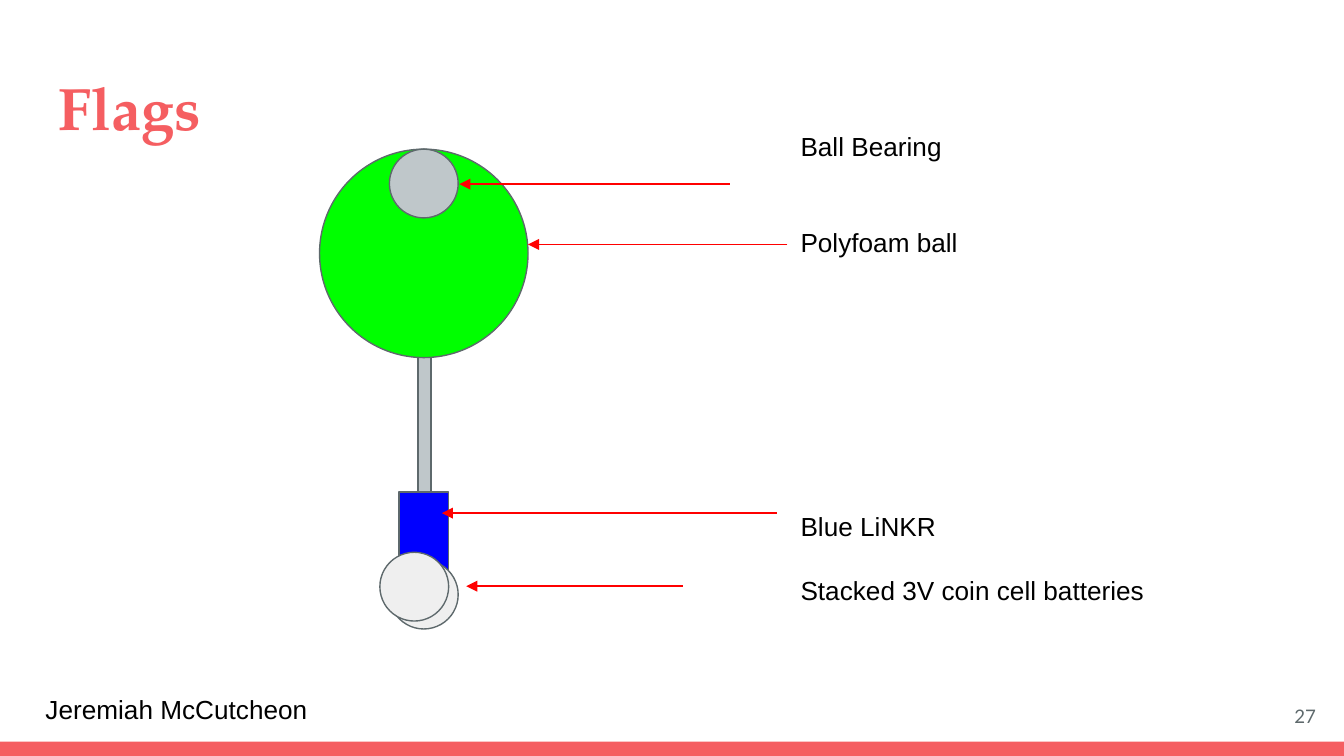
from lxml import etree
from pptx import Presentation
from pptx.dml.color import RGBColor
from pptx.enum.shapes import MSO_CONNECTOR, MSO_SHAPE
from pptx.enum.text import MSO_ANCHOR, PP_ALIGN
from pptx.oxml.ns import qn
from pptx.util import Cm, Pt

RECT = MSO_SHAPE.RECTANGLE
OVAL = MSO_SHAPE.OVAL
LINE = MSO_CONNECTOR.STRAIGHT
TOP, MID = MSO_ANCHOR.TOP, MSO_ANCHOR.MIDDLE
LEFT, RIGHT = PP_ALIGN.LEFT, PP_ALIGN.RIGHT

CORAL, SLATE, STEEL = "F55E61", "5E696C", "BFC7CA"
GREEN, BLUE, PALE, RED, BLACK = "00FF00", "0000FF", "EFEFEF", "FF0000", "000000"

HEAD = {"name": "TeX Gyre Pagella", "size": Pt(32), "bold": True}
BODY = {"name": "Arial", "size": Pt(14)}
PAGE = {"name": "Lato", "size": Pt(10)}
INSET = {f"margin_{side}": Cm(0.25) for side in ("left", "right", "top", "bottom")}


def color(target, value):
    target.rgb = RGBColor.from_string(value)


def apply(target, values):
    for key, value in values.items():
        setattr(target, key, value)


def add_part(slide, kind, box, fill, edge=None):
    part = slide.shapes.add_shape(kind, *map(Cm, box))
    part.shadow.inherit = False
    part.fill.solid()
    color(part.fill.fore_color, fill)
    if edge:
        color(part.line.color, edge)
        part.line.width = Pt(0.75)
    else:
        part.line.fill.background()


def add_arrow(slide, start, tip, y):
    arrow = slide.shapes.add_connector(LINE, Cm(start), Cm(y), Cm(tip), Cm(y))
    color(arrow.line.color, RED)
    arrow.line.width = Pt(0.75)
    etree.SubElement(arrow.line._get_or_add_ln(), qn("a:tailEnd"), type="triangle")
    etree.SubElement(arrow._element.spPr, qn("a:effectLst"))


def add_text(slide, box, rows, font, tint, align=LEFT, anchor=TOP):
    frame = slide.shapes.add_textbox(*map(Cm, box)).text_frame
    apply(frame, {"word_wrap": True, "vertical_anchor": anchor, **INSET})
    for index, (text, gap) in enumerate(rows):
        para = frame.add_paragraph() if index else frame.paragraphs[0]
        apply(para, {"alignment": align, "space_before": Pt(gap)})
        run = para.add_run()
        run.text = text
        apply(run.font, font)
        color(run.font.color, tint)


def add_flag(slide, box):
    left, top, ball, _ = box
    parts = [
        (RECT, 1.86, 3.56, 0.25, 5.13, STEEL),
        (OVAL, 0, 0, ball, ball, GREEN),
        (OVAL, 1.32, 0, 1.3, 1.3, STEEL),
        (RECT, 1.5, 6.48, 0.94, 1.57, BLUE),
        (OVAL, 1.32, 7.77, 1.3, 1.3, PALE),
        (OVAL, 1.14, 7.62, 1.3, 1.3, PALE),
    ]
    for kind, x, y, width, height, fill in parts:
        add_part(slide, kind, (left + x, top + y, width, height), fill, SLATE)
    arrows = [
        (7.75, 2.64, 0.66),
        (8.84, ball, 1.8),
        (8.64, 2.31, 6.88),
        (6.86, 2.77, 8.26),
    ]
    for start, tip, y in arrows:
        add_arrow(slide, left + start, left + tip, top + y)


def add_labels(slide, box):
    rows = [
        ("Ball Bearing", 0),
        ("Polyfoam ball", 35),
        ("Blue LiNKR", 135),
        ("Stacked 3V coin cell batteries", 17.5),
    ]
    add_text(slide, box, rows, BODY, BLACK)


def add_footer(slide, box):
    left, top, width, height = box
    bar = 0.27
    add_part(slide, RECT, (left, top + height - bar, width, bar), CORAL)
    name = (left + 0.61, top, 5.97, 0.89)
    add_text(slide, name, [("Jeremiah McCutcheon", 0)], BODY, BLACK)
    page = (left + width - 1.8, top + 0.15, 1.52, 1.09)
    add_text(slide, page, [("27", 0)], PAGE, SLATE, RIGHT, MID)


def main():
    deck = Presentation()
    apply(deck, {"slide_width": Cm(25.4), "slide_height": Cm(14.29)})
    slide = deck.slides.add_slide(deck.slide_layouts[6])
    add_footer(slide, (0, 12.85, 25.4, 1.44))
    add_text(slide, (0.86, 1.09, 23.67, 1.73), [("Flags", 0)], HEAD, CORAL)
    add_flag(slide, (6.04, 2.82, 3.94, 9.07))
    add_labels(slide, (14.88, 2.21, 7.11, 9.3))
    deck.save("out.pptx")


if __name__ == "__main__":
    main()
